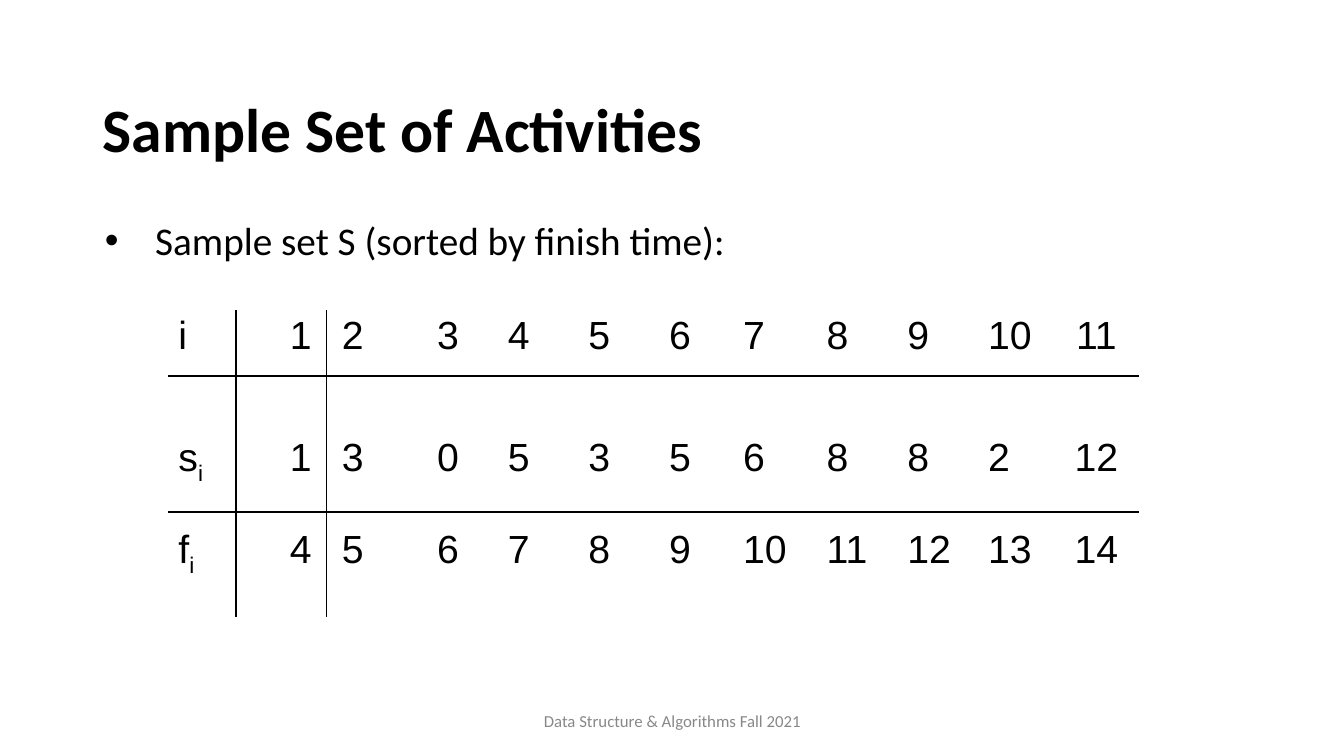
from lxml import etree
from pptx import Presentation
from pptx.dml.color import RGBColor
from pptx.enum.text import MSO_ANCHOR as Anchor, PP_ALIGN as Align
from pptx.oxml.ns import qn
from pptx.util import Inches, Pt

BLACK, GREY = "000000", "888888"

# One entry per column: width, alignment, left margin, right margin
COLUMNS = [
    (0.67, Align.LEFT, 0.1, 0),
    (0.9, Align.RIGHT, 0, 0.15),
    (0.73, Align.LEFT, 0.15, 0),
    (0.8, Align.RIGHT, 0, 0.22),
    (0.8, Align.CENTER, 0, 0.05),
    (0.8, Align.CENTER, 0, 0.05),
    (0.8, Align.CENTER, 0, 0.05),
    (0.93, Align.LEFT, 0.2, 0),
    (0.79, Align.LEFT, 0.1, 0),
    (0.81, Align.LEFT, 0.11, 0),
    (0.8, Align.LEFT, 0.1, 0),
    (0.8, Align.CENTER, 0, 0.05),
]
# One entry per row: height, top margin, label, subscript, values
ROWS = [
    (0.65, 0.04, "i", "", range(1, 12)),
    (1.35, 0.6, "s", "i", [1, 3, 0, 5, 3, 5, 6, 8, 8, 2, 12]),
    (1.04, 0.16, "f", "i", range(4, 15)),
]


def color(value):
    return RGBColor.from_string(value)


def add_run(paragraph, text, size, font="Calibri", fill=BLACK, bold=False):
    run = paragraph.add_run()
    run.text = text
    run.font.size = Pt(size)
    run.font.name = font
    run.font.bold = bold
    run.font.color.rgb = color(fill)
    return run


def set_margins(target, left, top, right, bottom):
    target.margin_left, target.margin_top = Inches(left), Inches(top)
    target.margin_right, target.margin_bottom = Inches(right), Inches(bottom)


def add_title(slide, left, top, width, height):
    title = slide.shapes.title
    title.left, title.top = Inches(left), Inches(top)
    title.width, title.height = Inches(width), Inches(height)
    frame = title.text_frame
    frame.vertical_anchor = Anchor.MIDDLE
    set_margins(frame, 0.1, 0.05, 0.1, 0.05)
    paragraph = frame.paragraphs[0]
    paragraph.alignment = Align.LEFT
    paragraph.line_spacing = 0.9
    add_run(paragraph, "Sample Set of Activities", 44, bold=True)


def add_text_box(slide, left, top, width, height):
    box = slide.shapes.add_textbox(Inches(left), Inches(top), Inches(width), Inches(height))
    box.text_frame.word_wrap = True
    return box.text_frame


def add_bullet(slide, left, top, width, height):
    frame = add_text_box(slide, left, top, width, height)
    set_margins(frame, 0, 0.07, 0, 0)
    paragraph = frame.paragraphs[0]
    paragraph.line_spacing = 1.08
    add_run(paragraph, "Sample set S (sorted by finish time):", 28)
    properties = paragraph._p.get_or_add_pPr()
    properties.set("marL", str(Inches(0.53)))
    properties.set("indent", str(Inches(-0.5)))
    etree.SubElement(properties, qn("a:buFont"), typeface="Arial")
    etree.SubElement(properties, qn("a:buChar"), char="•")


def add_footer(slide, left, top, width, height):
    frame = add_text_box(slide, left, top, width, height)
    frame.vertical_anchor = Anchor.MIDDLE
    paragraph = frame.paragraphs[0]
    paragraph.alignment = Align.CENTER
    add_run(paragraph, "Data Structure & Algorithms Fall 2021", 12, fill=GREY)


def set_borders(cell, row_index, column_index):
    # Lines run below the first two rows and right of the first two columns
    sides = {
        "L": column_index in (1, 2),
        "R": column_index in (0, 1),
        "T": row_index in (1, 2),
        "B": row_index in (0, 1),
    }
    properties = cell._tc.get_or_add_tcPr()
    for side, visible in sides.items():
        line = etree.SubElement(properties, qn(f"a:ln{side}"), w=str(Pt(1)))
        if visible:
            fill = etree.SubElement(line, qn("a:solidFill"))
            etree.SubElement(fill, qn("a:srgbClr"), val=BLACK)
        else:
            etree.SubElement(line, qn("a:noFill"))


def add_activity_table(slide, left, top):
    width = sum(column[0] for column in COLUMNS)
    height = sum(row[0] for row in ROWS)
    table = slide.shapes.add_table(
        len(ROWS), len(COLUMNS), Inches(left), Inches(top), Inches(width), Inches(height)
    ).table
    table.first_row = table.horz_banding = False
    for column, (column_width, *_) in zip(table.columns, COLUMNS):
        column.width = Inches(column_width)

    for row_index, (row_height, margin_top, label, subscript, values) in enumerate(ROWS):
        table.rows[row_index].height = Inches(row_height)
        for column_index, text in enumerate([label, *values]):
            _, alignment, margin_left, margin_right = COLUMNS[column_index]
            cell = table.cell(row_index, column_index)
            set_margins(cell, margin_left, margin_top, margin_right, 0)
            set_borders(cell, row_index, column_index)
            cell.fill.background()
            paragraph = cell.text_frame.paragraphs[0]
            paragraph.alignment = alignment
            add_run(paragraph, str(text), 28, "Arial")
            if column_index == 0 and subscript:
                run = add_run(paragraph, subscript, 27.8, "Arial")
                run.font._element.set("baseline", "-25000")


def main():
    presentation = Presentation()
    presentation.slide_width = Inches(13.33)
    presentation.slide_height = Inches(7.5)
    slide = presentation.slides.add_slide(presentation.slide_layouts[5])
    add_title(slide, 0.92, 0.59, 11.5, 1.45)
    add_bullet(slide, 1.01, 2.04, 11.18, 0.58)
    add_activity_table(slide, 1.67, 3.08)
    add_footer(slide, 4.42, 6.95, 4.5, 0.4)
    presentation.save("out.pptx")


if __name__ == "__main__":
    main()
